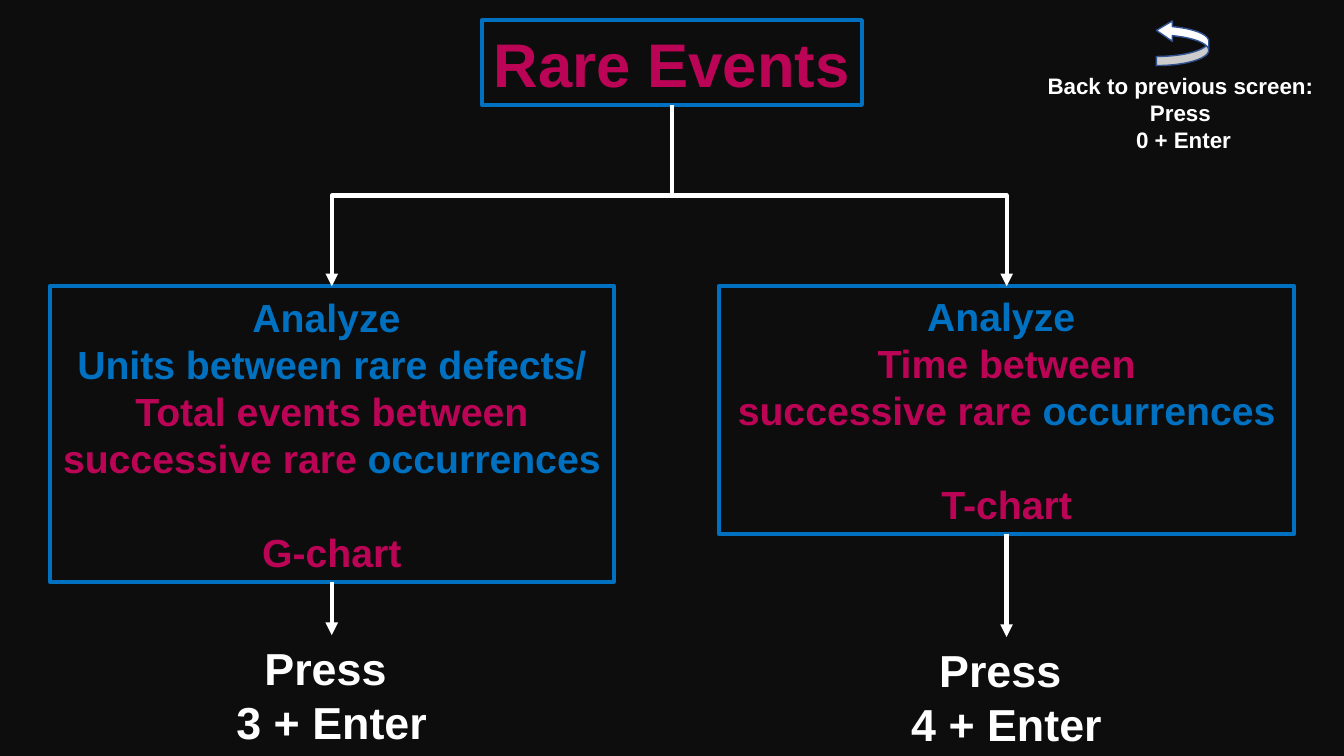
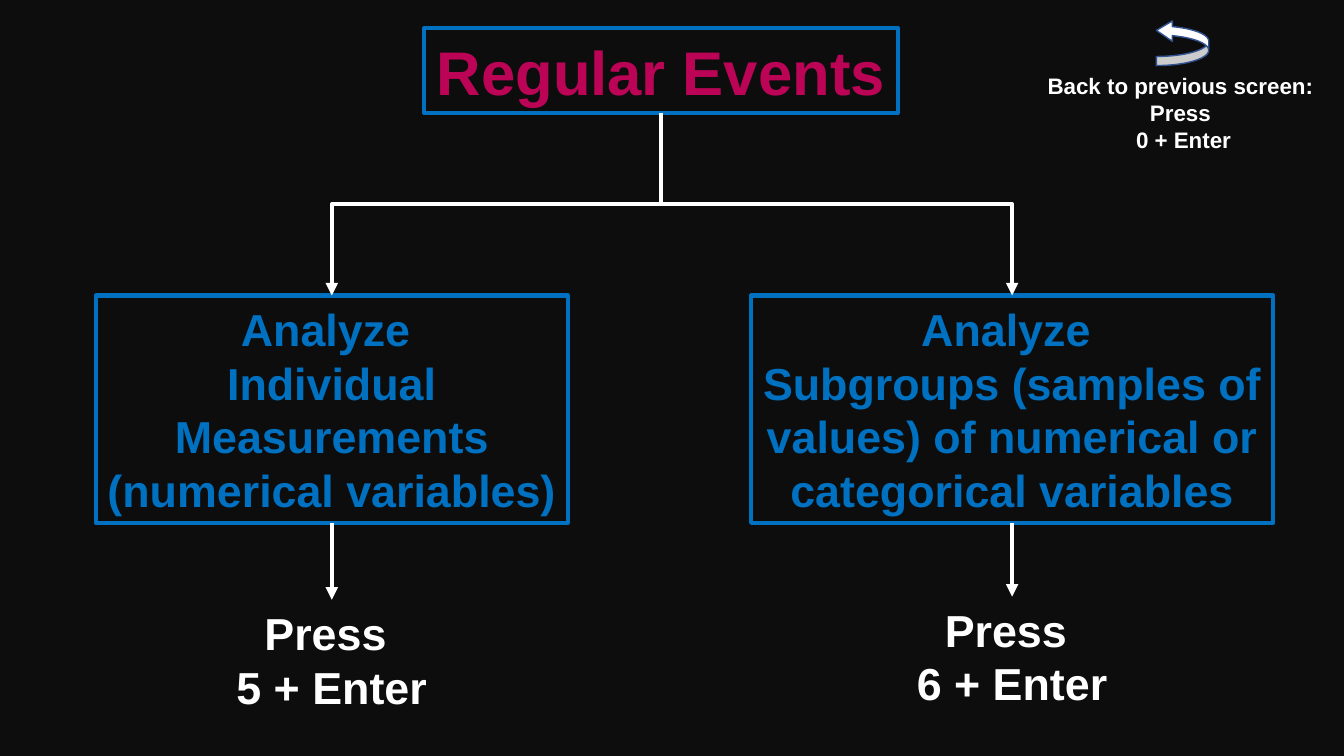
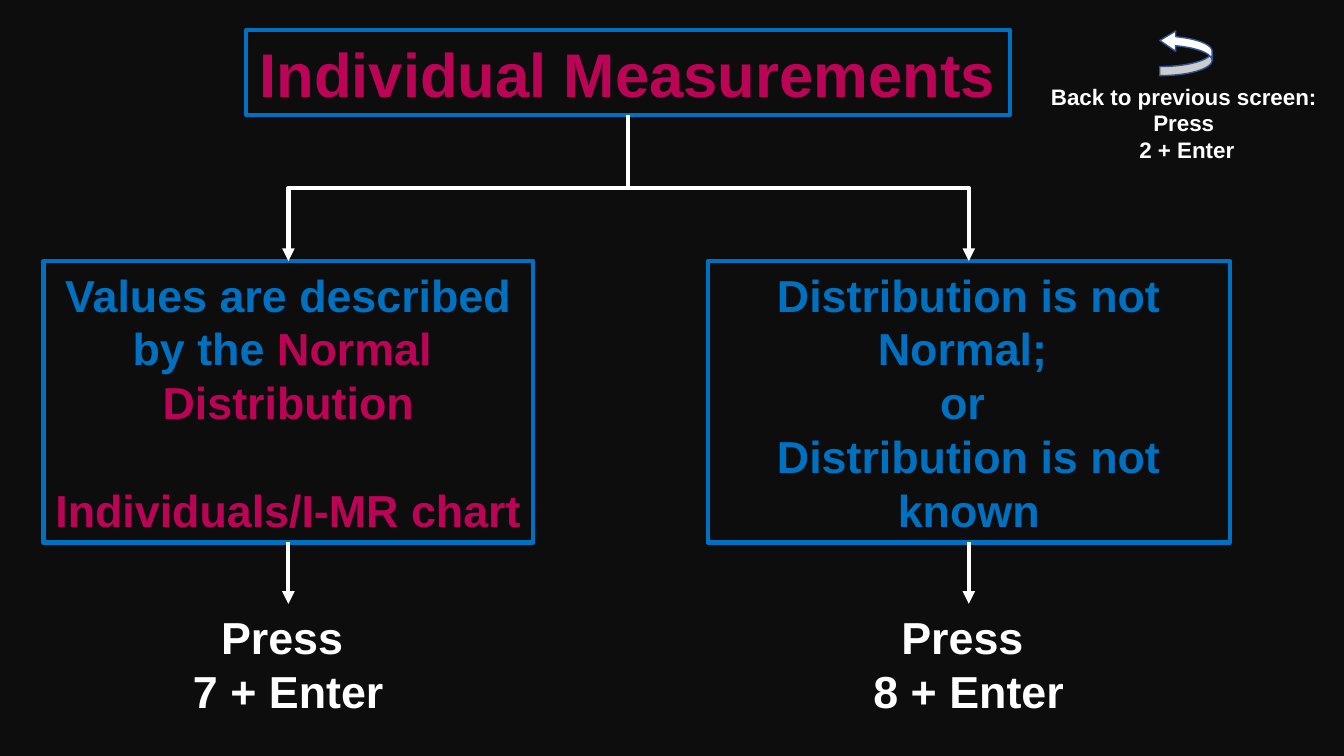
from dataclasses import dataclass

from lxml.etree import SubElement
from pptx import Presentation
from pptx.dml.color import RGBColor
from pptx.enum.shapes import MSO_CONNECTOR, MSO_SHAPE
from pptx.enum.text import MSO_ANCHOR, PP_ALIGN
from pptx.oxml.ns import qn
from pptx.util import Pt

DARK, WHITE, BLUE, RED, NAVY = "0D0D0D", "FFFFFF", "0070C0", "BC0457", "325491"
FONT = "Arial"
TITLE_H = 60.5
PRESS_W, PRESS_H = 152, 85
BOTTOM, TOP = 2, 0  # connection sites of a rectangle


@dataclass
class Branch:
    """A framed choice, centred on mid, and the key that selects it."""
    mid: float
    width: float
    height: float
    lines: list
    key: int
    press: float
    gap: bool = False
    wrap: bool = False


def color(code):
    return RGBColor.from_string(code)


def write(shape, lines, size, gap=False, wrap=False):
    """Fill a shape with lines of (text, colour) runs; gap sets the last line apart."""
    frame = shape.text_frame
    frame.word_wrap = wrap
    frame.vertical_anchor = MSO_ANCHOR.MIDDLE
    for i, line in enumerate(lines):
        para = frame.paragraphs[0] if i == 0 else frame.add_paragraph()
        para.alignment = PP_ALIGN.CENTER
        if gap and i == len(lines) - 1:
            para.space_before = Pt(size * 1.2)
        for text, tint in line:
            run = para.add_run()
            run.text = text
            run.font.name = FONT
            run.font.size = Pt(size)
            run.font.bold = True
            run.font.color.rgb = color(tint)


def add_box(slide, mid, top, width, height, lines, size, **style):
    box = slide.shapes.add_shape(MSO_SHAPE.RECTANGLE, Pt(mid - width / 2),
                                 Pt(top), Pt(width), Pt(height))
    box.shadow.inherit = False
    box.fill.background()
    box.line.color.rgb = color(BLUE)
    box.line.width = Pt(3)
    write(box, lines, size, **style)
    return box


def add_label(slide, left, top, width, height, texts, size, wrap=False):
    label = slide.shapes.add_textbox(Pt(left), Pt(top), Pt(width), Pt(height))
    write(label, [[(text, WHITE)] for text in texts], size, wrap=wrap)
    return label


def add_arrow(slide, kind, start, end):
    """Join the bottom of one shape to the top of another."""
    arrow = slide.shapes.add_connector(kind, 0, 0, 0, 0)
    arrow.begin_connect(start, BOTTOM)
    arrow.end_connect(end, TOP)
    arrow.line.color.rgb = color(WHITE)
    arrow.line.width = Pt(3)
    SubElement(arrow.line._get_or_add_ln(), qn("a:tailEnd"), type="triangle")
    SubElement(arrow._element.spPr, qn("a:effectLst"))
    return arrow


def add_elbow(slide, start, end):
    """An elbow that leaves downwards: a sideways one, turned a quarter."""
    elbow = add_arrow(slide, MSO_CONNECTOR.ELBOW, start, end)
    x, y = start.left + start.width // 2, start.top + start.height
    across, down = end.left + end.width // 2 - x, end.top - y
    elbow.width, elbow.height = down, abs(across)
    elbow.left = x + (across - down) // 2
    elbow.top = y + (down - abs(across)) // 2
    right = across > 0
    frame = elbow._element.spPr.find(qn("a:xfrm"))
    frame.set("rot", "16200000" if right else "5400000")
    frame.set("flipH", "1" if right else "0")
    frame.set("flipV", "0")


def add_branch(slide, title, top, branch):
    box = add_box(slide, branch.mid, top, branch.width, branch.height,
                  branch.lines, 28 if title.text_frame.text == "Rare Events" else 32,
                  gap=branch.gap, wrap=branch.wrap)
    add_elbow(slide, title, box)
    label = add_label(slide, branch.mid - PRESS_W / 2, branch.press, PRESS_W,
                      PRESS_H, ["Press ", f"{branch.key} + Enter"], 32)
    add_arrow(slide, MSO_CONNECTOR.STRAIGHT, box, label)


def add_back(slide, key, left=741, top=46.8):
    add_label(slide, left, top, 208.8, 67.7,
              ["Back to previous screen: ", "Press ", f"{key} + Enter"], 16, wrap=True)
    turn = slide.shapes.add_shape(MSO_SHAPE.CURVED_RIGHT_ARROW, Pt(left + 85),
                                  Pt(top - 32.4), Pt(37.4), Pt(32.4))
    turn.rotation = 180
    for i, value in enumerate((0.2, 0.45, 0.35)):
        turn.adjustments[i] = value
    turn.shadow.inherit = False
    turn.fill.solid()
    turn.fill.fore_color.rgb = color(WHITE)
    turn.line.color.rgb = color(NAVY)
    turn.line.width = Pt(1)


def add_tree(deck, name, mid, top, width, row, branches):
    """A slide with a title box that forks into branches starting at row."""
    slide = deck.slides.add_slide(deck.slide_layouts[6])
    title = add_box(slide, mid, top, width, TITLE_H, [[(name, RED)]], 44)
    for branch in branches:
        add_branch(slide, title, row, branch)
    return slide


def main():
    deck = Presentation()
    deck.slide_width, deck.slide_height = Pt(960), Pt(540)
    back = deck.slide_master.background.fill
    back.solid()
    back.fore_color.rgb = color(DARK)

    rare = [("successive rare ", RED), ("occurrences", BLUE)]
    slide = add_tree(deck, "Rare Events", 480, 14.4, 271.4, 204.5, [
        Branch(237, 403, 211, [
            [("Analyze ", BLUE)],
            [("Units between rare defects/", BLUE)],
            [("Total events between", RED)],
            rare,
            [("G-chart", RED)]], 3, 453.6, gap=True),
        Branch(719, 411, 177, [
            [("Analyze ", BLUE)],
            [("Time between", RED)],
            rare,
            [("T-chart", RED)]], 4, 455, gap=True)])
    add_back(slide, 0)

    slide = add_tree(deck, "Regular Events", 472.3, 20.2, 338.4, 211, [
        Branch(237, 337, 162.5, [
            [("Analyze ", BLUE)],
            [("Individual", BLUE)],
            [("Measurements", BLUE)],
            [("(numerical variables)", BLUE)]], 5, 428.4),
        Branch(723, 373, 162.5, [
            [("Analyze ", BLUE)],
            [("Subgroups (samples of", BLUE)],
            [("values) of numerical or", BLUE)],
            [("categorical variables", BLUE)]], 6, 426.2, wrap=True)])
    add_back(slide, 0)

    slide = add_tree(deck, "Individual Measurements", 448.6, 21.6, 545.8, 186.5, [
        Branch(206, 350, 201, [
            [("Values are described", BLUE)],
            [("by the ", BLUE), ("Normal ", RED)],
            [("Distribution", RED)],
            [("Individuals/I-MR chart", RED)]], 7, 431.3, gap=True),
        Branch(692, 373, 201, [
            [("Distribution is not Normal; ", BLUE)],
            [("or ", BLUE)],
            [("Distribution is not known", BLUE)]], 8, 431.3, wrap=True)])
    add_back(slide, 2, 743.4, 54)

    deck.save("out.pptx")


if __name__ == "__main__":
    main()
